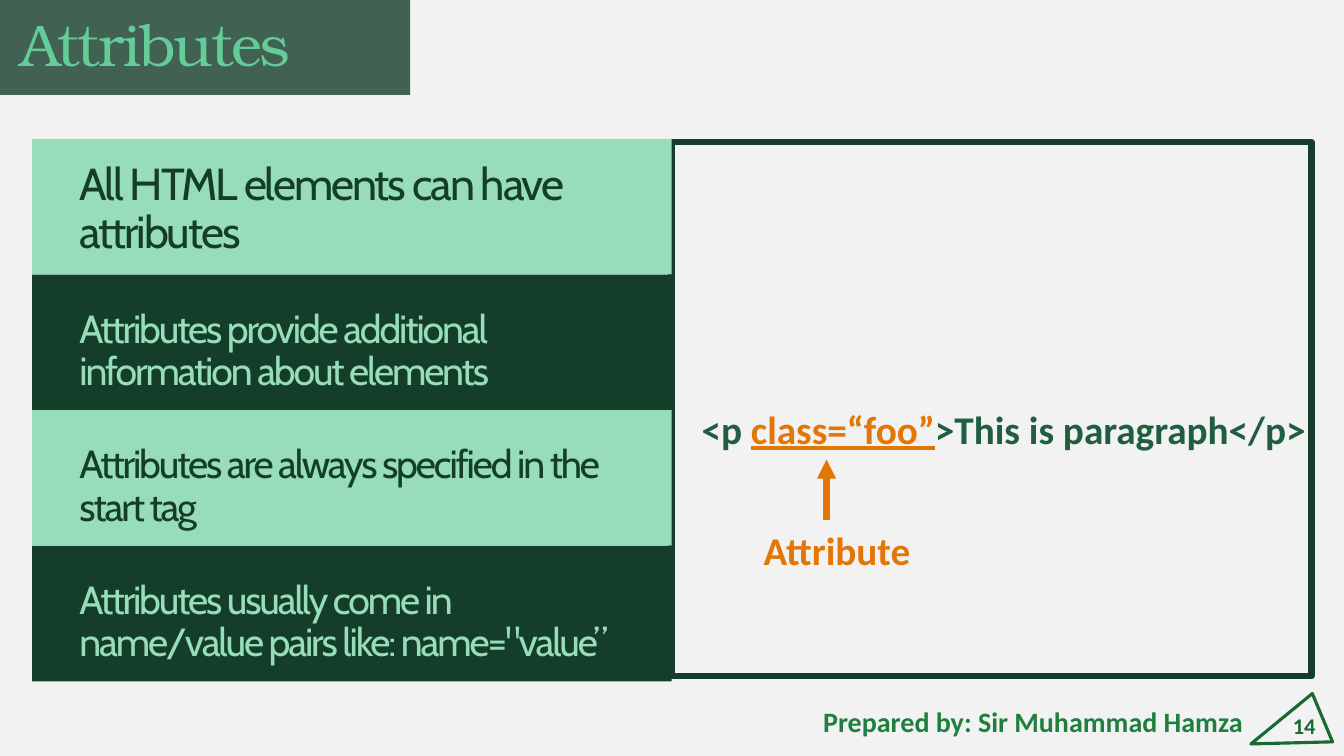
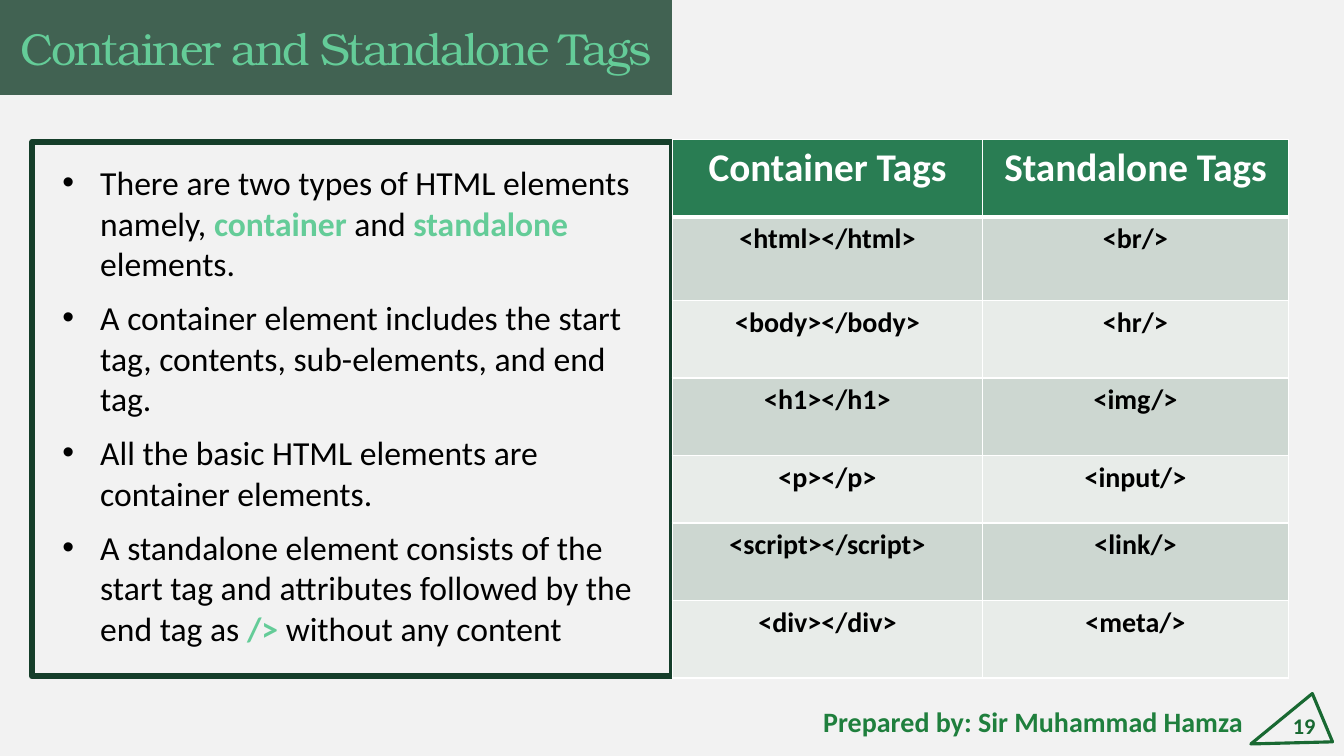
from dataclasses import dataclass

from lxml import etree
from pptx import Presentation
from pptx.dml.color import RGBColor
from pptx.enum.shapes import MSO_CONNECTOR, MSO_SHAPE
from pptx.enum.text import MSO_ANCHOR, PP_ALIGN
from pptx.oxml.ns import qn
from pptx.util import Pt

RECT = MSO_SHAPE.RECTANGLE
LINE = MSO_CONNECTOR.STRAIGHT
TOP, MID, LOW = MSO_ANCHOR.TOP, MSO_ANCHOR.MIDDLE, MSO_ANCHOR.BOTTOM
LEFT, CENTER, RIGHT = PP_ALIGN.LEFT, PP_ALIGN.CENTER, PP_ALIGN.RIGHT


@dataclass(frozen=True)
class Theme:
    back: str = "F2F2F2"
    dark: str = "153E2A"
    mint: str = "97DDBA"
    glow: str = "64CC98"
    code: str = "1F5E3E"
    credit: str = "1F7F3D"
    badge: str = "196932"
    accent: str = "E47607"
    head: str = "297D53"
    odd: str = "CDD7D1"
    even: str = "E8ECE9"
    ink: str = "000000"
    white: str = "FFFFFF"
    serif: str = "TeX Gyre Bonum"
    sans: str = "Cabin"
    body: str = "Calibri"
    big: int = 42
    title: int = 32
    large: int = 28
    text: int = 24
    small: int = 20
    page: int = 16


T = Theme()

CREDIT = "Prepared by: Sir Muhammad Hamza"
BADGE = [(937.4, 495.4), (951.8, 529.9), (893.5, 531.4)]

FACTS = [
    ("All HTML elements can have attributes", T.title),
    ("Attributes provide additional information about elements", T.large),
    ("Attributes are always specified in the start tag", T.large),
    ("Attributes usually come in name/value pairs like: name=\"value”", T.large),
]
SAMPLE = [("<p ", T.code, {}), ("class=“foo”", T.accent, {"under": True}),
          (">This is paragraph</p>", T.code, {})]
LABEL = "Attribute"

POINTS = [
    [("There are two types of HTML elements namely, ", False), ("container", True),
     (" and ", False), ("standalone ", True), ("elements.", False)],
    [("A container element includes the start tag, contents, sub-elements, "
      "and end tag.", False)],
    [("All the basic HTML elements are container elements.", False)],
    [("A standalone element consists of the start tag and attributes followed "
      "by the end tag as ", False), ("/>", True), (" without any content", False)],
]
TAGS = [
    ("Container Tags", "Standalone Tags"),
    ("<html></html>", "<br/>"),
    ("<body></body>", "<hr/>"),
    ("<h1></h1>", "<img/>"),
    ("<p></p>", "<input/>"),
    ("<script></script>", "<link/>"),
    ("<div></div>", "<meta/>"),
]
COLS = [221.8, 218.2]
ROWS = [55.4, 59.8, 55.4, 55.4, 48.2, 55.4, 55.4]


def rgb(code):
    return RGBColor.from_string(code)


def put(par, text, size, color, font=T.body, bold=False, under=False, gap=None):
    run = par.add_run()
    run.text = text
    face = run.font
    face.size, face.name, face.bold = Pt(size), font, bold
    face.color.rgb = rgb(color)
    if under:
        face.underline = True
    if gap is not None:
        run._r.get_or_add_rPr().set("spc", str(int(gap * 100)))


def set_frame(shape, anchor, pads, align=LEFT):
    frame = shape.text_frame
    frame.word_wrap = True
    frame.vertical_anchor = anchor
    (frame.margin_left, frame.margin_top,
     frame.margin_right, frame.margin_bottom) = map(Pt, pads)
    frame.paragraphs[0].alignment = align
    return frame


def add_box(slide, spot, fill=None, edge=None, alpha=None):
    shape = slide.shapes.add_shape(RECT, *map(Pt, spot))
    return paint(shape, fill, edge, 4.5, alpha)


def paint(shape, fill, edge, width, alpha=None):
    shape.shadow.inherit = False
    if fill:
        shape.fill.solid()
        shape.fill.fore_color.rgb = rgb(fill)
        if alpha:
            tone = shape._element.spPr.find(qn("a:solidFill"))[0]
            etree.SubElement(tone, qn("a:alpha")).set("val", str(alpha * 1000))
    else:
        shape.fill.background()
    if edge:
        shape.line.color.rgb = rgb(edge)
        shape.line.width = Pt(width)
    else:
        shape.line.fill.background()
    return shape


def add_text(slide, spot, runs, align=LEFT, pads=(7.2, 3.6, 7.2, 3.6)):
    box = slide.shapes.add_textbox(*map(Pt, spot))
    par = set_frame(box, MID, pads, align).paragraphs[0]
    for text, size, color, more in runs:
        put(par, text, size, color, bold=True, **more)


def tight(shape, text, size, color, font, pads):
    par = set_frame(shape, LOW, pads).paragraphs[0]
    par.line_spacing = 0.9
    put(par, text, size, color, font, gap=-1.5)


def add_base(deck, title, size, width, low, page):
    slide = deck.slides.add_slide(deck.slide_layouts[6])
    slide.background.fill.solid()
    slide.background.fill.fore_color.rgb = rgb(T.back)
    add_text(slide, (902.8, 498, 44, 40), [(str(page), T.page, T.badge, {})], RIGHT)
    path = slide.shapes.build_freeform(*map(Pt, BADGE[0]))
    path.add_line_segments([(Pt(x), Pt(y)) for x, y in BADGE[1:]], close=True)
    paint(path.convert_to_shape(), None, T.badge, 2.25)
    add_text(slide, (576, 501, 324, 29), [(CREDIT, T.small, T.credit, {})], CENTER)
    band = add_box(slide, (0, 0, width, 67.8), T.dark, alpha=80)
    tight(band, title, size, T.glow, T.serif, (14.4, 0, 14.4, low))
    return slide


def add_arrow(slide, start, end):
    line = slide.shapes.add_connector(LINE, *map(Pt, start + end))
    line.line.color.rgb = rgb(T.accent)
    line.line.width = Pt(4.5)
    etree.SubElement(line.line._get_or_add_ln(), qn("a:tailEnd")).set("type", "triangle")
    etree.SubElement(line._element.spPr, qn("a:effectLst"))


def add_facts(deck):
    slide = add_base(deck, "Attributes", T.big, 293, 11.5, 14)
    add_box(slide, (479.6, 101.5, 457.2, 381.6), edge=T.dark)
    high = 96.9
    for i, (text, size) in enumerate(FACTS):
        fill, ink = (T.dark, T.mint) if i % 2 else (T.mint, T.dark)
        band = add_box(slide, (23, 99.2 + i * high, 456.8, high), fill)
        tight(band, text, size, ink, T.sans, (33.8, 0, 33.8, 11.5))
    none = (0, 0, 0, 0)
    add_text(slide, (501.2, 286, 440, 40),
             [(text, T.large, color, more) for text, color, more in SAMPLE], pads=none)
    add_text(slide, (545.5, 373, 110, 40), [(LABEL, T.large, T.accent, {})], pads=none)
    add_arrow(slide, (590.4, 371.5), (590.4, 328.3))


def add_rims(cell, row):
    props = cell._tc.get_or_add_tcPr()
    wide = {"lnT": row == 1, "lnB": row == 0}
    for side in ("lnL", "lnR", "lnT", "lnB"):
        rim = etree.SubElement(props, qn("a:" + side))
        rim.set("w", str(Pt(3 if wide.get(side) else 1)))
        fill = etree.SubElement(rim, qn("a:solidFill"))
        etree.SubElement(fill, qn("a:srgbClr")).set("val", T.white)


def add_grid(slide):
    spot = (480.2, 99.4, sum(COLS), sum(ROWS))
    grid = slide.shapes.add_table(len(ROWS), len(COLS), *map(Pt, spot)).table
    for col, width in zip(grid.columns, COLS):
        col.width = Pt(width)
    for r, (words, high) in enumerate(zip(TAGS, ROWS)):
        grid.rows[r].height = Pt(high)
        fill = T.head if r == 0 else T.odd if r % 2 else T.even
        size, ink = (T.small, T.ink) if r else (T.large, T.white)
        for c, word in enumerate(words):
            cell = grid.cell(r, c)
            add_rims(cell, r)
            cell.fill.solid()
            cell.fill.fore_color.rgb = rgb(fill)
            par = cell.text_frame.paragraphs[0]
            par.alignment = CENTER
            put(par, word, size, ink, bold=True)


def add_tags(deck):
    slide = add_base(deck, "Container and Standalone Tags", T.title, 480, 14.4, 19)
    panel = add_box(slide, (23, 101.5, 457.2, 381.6), edge=T.dark)
    frame = set_frame(panel, TOP, (21.6, 14.4, 21.6, 7.2))
    for i, runs in enumerate(POINTS):
        par = frame.add_paragraph() if i else frame.paragraphs[0]
        par.alignment = LEFT
        par.space_before = Pt(10)
        props = par._p.get_or_add_pPr()
        props.set("marL", str(Pt(27)))
        props.set("indent", str(-Pt(27)))
        etree.SubElement(props, qn("a:buFont")).set("typeface", "Arial")
        etree.SubElement(props, qn("a:buChar")).set("char", "•")
        for text, key in runs:
            put(par, text, T.text, T.glow if key else T.ink, bold=key)
    add_grid(slide)


def main():
    deck = Presentation()
    deck.slide_width, deck.slide_height = Pt(960), Pt(540)
    add_facts(deck)
    add_tags(deck)
    deck.save("out.pptx")


if __name__ == "__main__":
    main()
